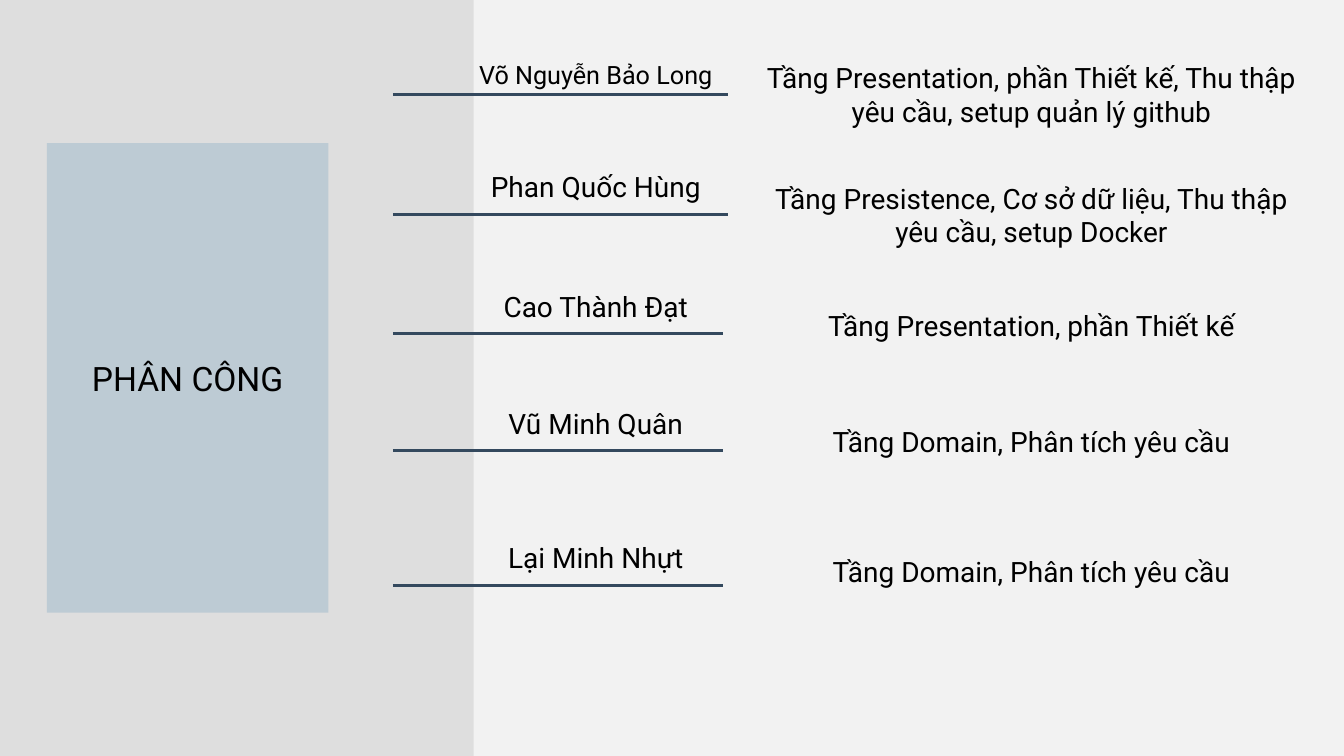
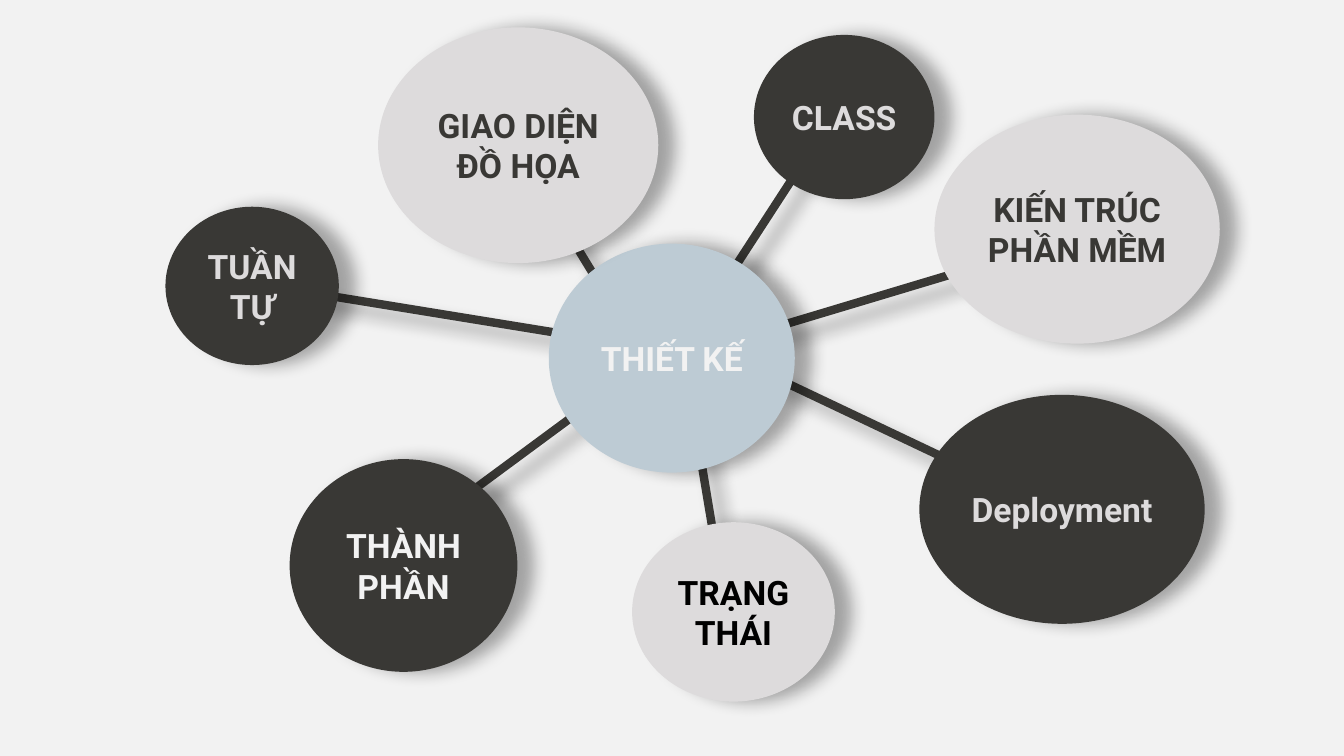
from lxml import etree
from pptx import Presentation
from pptx.dml import color
from pptx.enum import shapes, text
from pptx.oxml import ns
from pptx.util import Cm, Pt

FONT = "Roboto"
PAPER, BLACK, BLUE, NAVY = "F2F2F2", "000000", "BDCBD4", "34495E"
DARK, PALE, GREY = "393835", "DDDBDC", "A6A6A6"

# shadow angles in degrees
LINE_FALL, BUBBLE_FALL = 42, 0

# combining mark: pairs of toned and plain letter
TONES = {
    0x300: "à:a ầ:â ề:ê ồ:ô ù:u",
    0x301: "á:a ế:ê í:i ố:ô ú:u ý:y",
    0x303: "ễ:ê õ:o ũ:u ữ:ư",
    0x309: "ả:a ở:ơ",
    0x323: "ạ:a ậ:â ệ:ê ọ:o ự:ư",
}

# name, name size, name top, rule y, rule end, task, task top
TEAM = [
    ("Võ Nguyễn Bảo Long", 18, 1.3, 2.39, 18.35,
     "Tầng Presentation, phần Thiết kế, Thu thập yêu cầu, setup quản lý github", 1.32),
    ("Phan Quốc Hùng", 20, 4.12, 5.41, 18.35,
     "Tầng Presistence, Cơ sở dữ liệu, Thu thập yêu cầu, setup Docker", 4.36),
    ("Cao Thành Đạt", 20, 7.14, 8.41, 18.21,
     "Tầng Presentation, phần Thiết kế", 7.13),
    ("Vũ Minh Quân", 20, 10.08, 11.35, 18.21,
     "Tầng Domain, Phân tích yêu cầu", 10.07),
    ("Lại Minh Nhựt", 20, 13.46, 14.76, 18.21,
     "Tầng Domain, Phân tích yêu cầu", 13.34),
]

# label, box, fill, ink, spoke start, spoke end
TOPICS = [
    ("TUẦN TỰ", (4.17, 5.21, 4.37, 3.99), DARK, PALE, (7.59, 7.34), (16.51, 8.79)),
    ("KIẾN TRÚC PHẦN MỀM", (23.55, 2.89, 7.19, 5.77), PALE, DARK,
     (26.62, 6.12), (18.49, 8.56)),
    ("THÀNH PHẦN", (7.3, 11.57, 5.74, 5.36), DARK, PAPER,
     (9.93, 13.82), (15.47, 9.73)),
    ("TRẠNG THÁI", (15.93, 13.16, 5.11, 4.52), PALE, BLACK,
     (18.11, 14.25), (17.55, 10.9)),
    ("Deployment", (23.17, 9.95, 7.19, 5.77), DARK, PALE,
     (24.33, 11.79), (18.49, 9.02)),
    ("CLASS", (19, 0.88, 4.55, 4.14), DARK, PALE, (20.75, 3.3), (18.06, 7.44)),
    ("GIAO DIỆN ĐỒ HỌA", (9.53, 0.69, 7.06, 5.94), PALE, DARK,
     (13.23, 4.09), (15.67, 8.08)),
]


def rgb(code):
    return color.RGBColor.from_string(code)


def split_tones(words):
    """Write each tone as a combining mark after its letter."""
    for mark, pairs in TONES.items():
        for pair in (pairs + " " + pairs.upper()).split():
            toned, plain = pair.split(":")
            words = words.replace(toned, plain + chr(mark))
    return words


def add(node, tag, **attrs):
    return etree.SubElement(node, ns.qn(tag), attrs)


def set_fx(item, fall):
    """Replace the theme shadow by a soft one at an angle, or by none."""
    fx = add(item._element.spPr, "a:effectLst")
    if fall is not None:
        drop = add(fx, "a:outerShdw", blurRad=str(Pt(12)), dist=str(Pt(12)),
                   dir=str(fall * 60000), algn="ctr", rotWithShape="0")
        add(add(drop, "a:srgbClr", val=BLACK), "a:alpha", val="33000")


def write(item, words, size, ink=BLACK, bold=False):
    frame = item.text_frame
    frame.word_wrap = True
    frame.vertical_anchor = text.MSO_ANCHOR.MIDDLE
    frame.margin_left = frame.margin_right = Cm(0.2)
    para = frame.paragraphs[0]
    para.text = split_tones(words)
    para.alignment = text.PP_ALIGN.CENTER
    font = para.font
    font.name, font.size, font.bold = FONT, Pt(size), bold
    font.color.rgb = rgb(ink)


def block(slide, box, fill, kind=shapes.MSO_SHAPE.RECTANGLE, fall=None):
    item = slide.shapes.add_shape(kind, *map(Cm, box))
    item.fill.solid()
    item.fill.fore_color.rgb = rgb(fill)
    item.line.fill.background()
    set_fx(item, fall)
    return item


def line(slide, start, end, ink, width, fall=None):
    item = slide.shapes.add_connector(
        shapes.MSO_CONNECTOR.STRAIGHT, *map(Cm, start + end))
    item.line.color.rgb = rgb(ink)
    item.line.width = Pt(width)
    set_fx(item, fall)


def bubble(slide, words, box, fill, ink):
    item = block(slide, box, fill, shapes.MSO_SHAPE.OVAL, BUBBLE_FALL)
    write(item, words, 24, ink, True)


def new_slide(deck):
    slide = deck.slides.add_slide(deck.slide_layouts[6])
    slide.background.fill.solid()
    slide.background.fill.fore_color.rgb = rgb(PAPER)
    return slide


def team_slide(deck):
    slide = new_slide(deck)
    panel = block(slide, (0, 0, 11.94, 19.05), GREY)
    tint = panel._element.spPr.find(".//" + ns.qn("a:srgbClr"))
    add(tint, "a:alpha", val="26000")
    write(block(slide, (1.18, 3.61, 7.1, 11.83), BLUE), "PHÂN CÔNG", 24)
    for name, size, top, rule, end, task, task_top in TEAM:
        line(slide, (9.9, rule), (end, rule), NAVY, 2.25)
        label = slide.shapes.add_textbox(*map(Cm, (11.8, top, 6.43, 1.17)))
        write(label, name, size)
        write(block(slide, (18.82, task_top, 14.35, 2.11), PAPER), task, 20)


def topic_slide(deck):
    slide = new_slide(deck)
    for *_, start, end in TOPICS:
        line(slide, start, end, DARK, 6, LINE_FALL)
    bubble(slide, "THIẾT KẾ", (13.83, 6.14, 6.2, 5.77), BLUE, PAPER)
    for words, box, fill, ink, *_ in TOPICS:
        bubble(slide, words, box, fill, ink)


def main():
    deck = Presentation()
    deck.slide_width, deck.slide_height = Cm(33.87), Cm(19.05)
    team_slide(deck)
    topic_slide(deck)
    deck.save("out.pptx")


if __name__ == "__main__":
    main()
